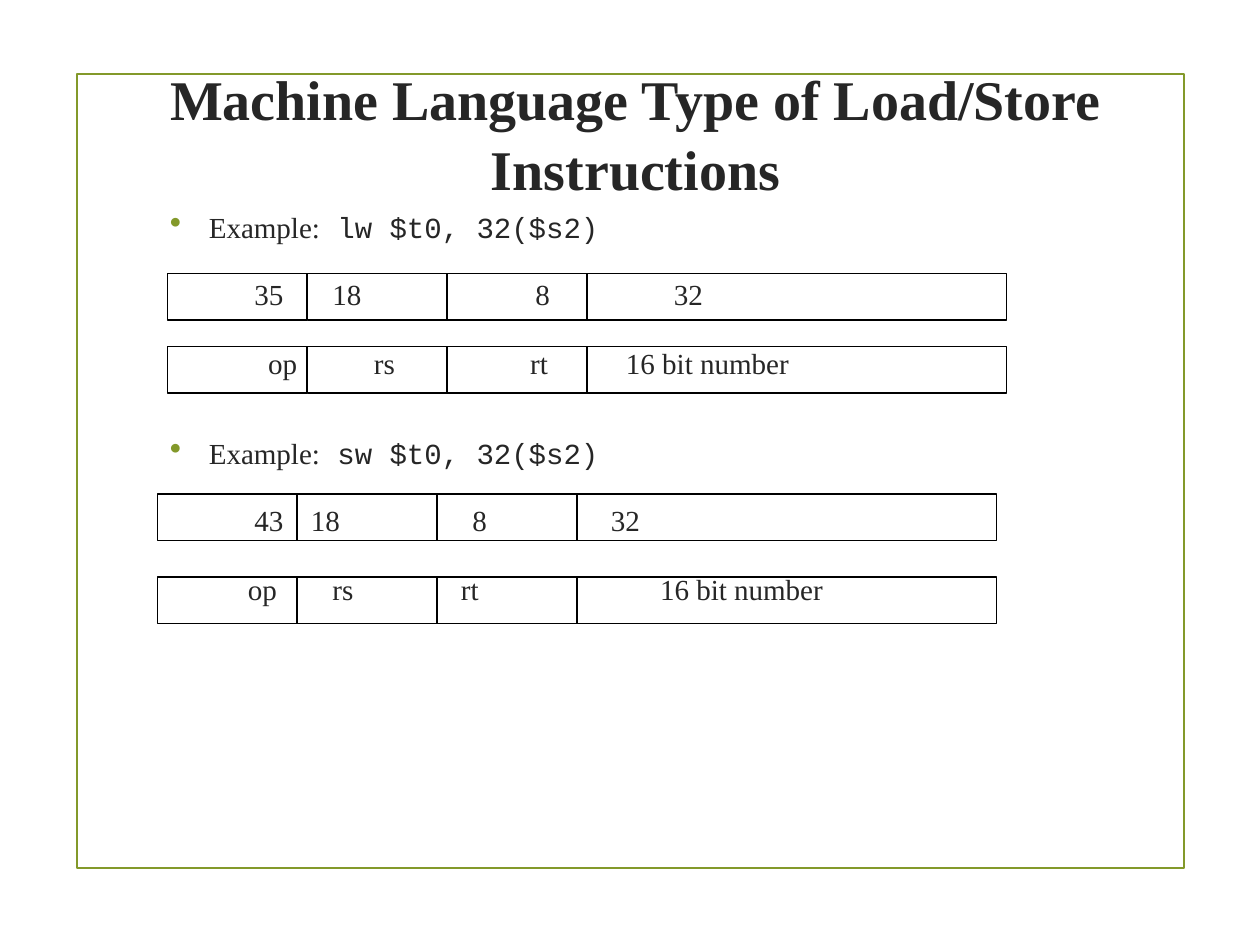
from lxml.etree import SubElement
from pptx import Presentation
from pptx.dml.color import RGBColor
from pptx.enum.shapes import MSO_SHAPE as Shape
from pptx.enum.text import MSO_ANCHOR as Anchor, PP_ALIGN as Align
from pptx.oxml.ns import qn
from pptx.util import Inches, Pt

SERIF, MONO = "Times New Roman", "Courier New"
INK, GREEN, BLACK = "262626", "83992A", "000000"
TITLE = "Machine Language Type of Load/Store Instructions"

# Each field row: texts, their tab stops, and the left and top of its cells
EXAMPLES = [
    ("lw $t0, 32($s2)", [
        (("35", "18", "8", "32"), (0.67, 1.29, 2.9, 4), 1.33, 2.17),
        (("op", "rs", "rt", "16 bit number"), (0.78, 1.62, 2.86, 3.62), 1.33, 2.75),
    ]),
    ("sw $t0, 32($s2)", [
        (("43", "18", "8", "32"), (0.67, 1.12, 2.4, 3.5), 1.25, 3.92),
        (("op", "rs", "rt", "16 bit number"), (0.62, 1.29, 2.31, 3.89), 1.25, 4.58),
    ]),
]
UNIT, CELL_HEIGHT = 1.11, 0.37
SPANS = (1, 1, 1, 3)
TEXT_SIZE, LINE_HEIGHT, INDENT = 16.6, 20, 0.31
GAP_BEFORE_EXAMPLE = 31
GAPS_BEFORE_FIELDS = (18.3, 19.7)


def color(value):
    return RGBColor.from_string(value)


def add_outline(shapes, left, top, width, height, line, points):
    box = shapes.add_shape(Shape.RECTANGLE, Inches(left), Inches(top),
                           Inches(width), Inches(height))
    box.shadow.inherit = False
    box.fill.background()
    box.line.color.rgb = color(line)
    box.line.width = Pt(points)


def add_text_frame(page, left, top, width, height):
    box = page.shapes.add_textbox(Inches(left), Inches(top),
                                  Inches(width), Inches(height))
    box.text_frame.word_wrap = True
    return box.text_frame


def set_font(font, name, size):
    font.name, font.size = name, Pt(size)
    font.color.rgb = color(INK)


def add_bullet(para):
    props = para._p.get_or_add_pPr()
    props.set("marL", str(Inches(INDENT)))
    props.set("indent", str(-Inches(INDENT)))
    SubElement(SubElement(props, qn("a:buClr")), qn("a:srgbClr"), val=GREEN)
    SubElement(props, qn("a:buSzPct"), val="115000")
    SubElement(props, qn("a:buChar"), char="•")


def add_tabs(para, stops):
    tabs = SubElement(para._p.get_or_add_pPr(), qn("a:tabLst"))
    for stop in stops:
        SubElement(tabs, qn("a:tab"), pos=str(Inches(stop)), algn="l")


def next_para(frame, gap):
    """Return the empty first paragraph, or a new one set off by the gap."""
    if not frame.paragraphs[0].runs:
        para = frame.paragraphs[0]
    else:
        para = frame.add_paragraph()
        para.space_before = Pt(gap)
    para.line_spacing = Pt(LINE_HEIGHT)
    return para


def add_body(page):
    frame = add_text_frame(page, 1.25, 1.58, 7.44, 3.77)
    frame.margin_top = Inches(0.08)
    for code, rows in EXAMPLES:
        para = next_para(frame, GAP_BEFORE_EXAMPLE)
        add_bullet(para)
        for text, name in (("Example:", SERIF), (" " + code, MONO)):
            span = para.add_run()
            span.text = text
            set_font(span.font, name, TEXT_SIZE)
        for (fields, stops, _, _), gap in zip(rows, GAPS_BEFORE_FIELDS):
            para = next_para(frame, gap)
            add_tabs(para, stops)
            para.add_run().text = "".join("\t" + field for field in fields)
            set_font(para.font, SERIF, TEXT_SIZE)


def add_title(page):
    frame = add_text_frame(page, 0.67, 0.33, 8.75, 1.43)
    frame.vertical_anchor = Anchor.MIDDLE
    para = frame.paragraphs[0]
    para.text = TITLE
    para.alignment = Align.CENTER
    para.line_spacing = 1.04
    set_font(para.font, SERIF, 32)
    para.font.bold = True


def add_cells(page, left, top):
    group = page.shapes.add_group_shape()
    for index, span in enumerate(SPANS):
        add_outline(group.shapes, left + UNIT * sum(SPANS[:index]), top,
                    UNIT * span, CELL_HEIGHT, BLACK, 1)


def main():
    deck = Presentation()
    deck.slide_width, deck.slide_height = Inches(10), Inches(7.5)
    page = deck.slides.add_slide(deck.slide_layouts[6])
    add_outline(page.shapes, 0.61, 0.59, 8.79, 6.3, GREEN, 1.25)
    add_body(page)
    add_title(page)
    for _, rows in EXAMPLES:
        for _, _, left, top in rows:
            add_cells(page, left, top)
    deck.save("out.pptx")


if __name__ == "__main__":
    main()
